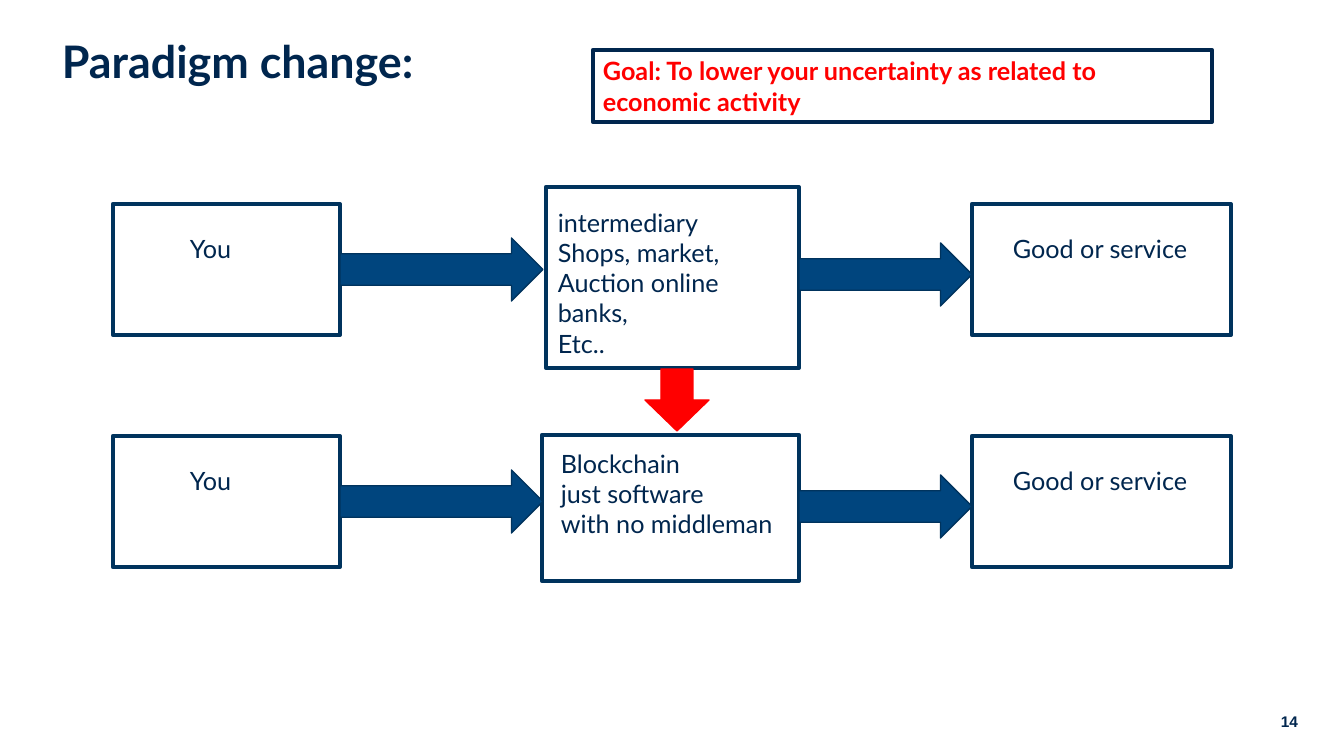
"""Build the paradigm change slide: a middleman flow above a blockchain flow."""
from pptx import Presentation
from pptx.dml.color import RGBColor
from pptx.enum.shapes import MSO_SHAPE
from pptx.enum.text import MSO_ANCHOR, MSO_AUTO_SIZE, PP_ALIGN
from pptx.util import Pt

SCALE = 914400 / 100.8
INK = RGBColor(0x00, 0x26, 0x4E)
EDGE = RGBColor(0x00, 0x33, 0x5D)
BLUE = RGBColor(0x00, 0x45, 0x7E)
RED = RGBColor(0xFF, 0x00, 0x00)

TITLE = "Paradigm change:"
GOAL = ["Goal: To lower your uncertainty as related to", "economic activity"]
PAGE_NUMBER = "14"
FLOWS = [
    {
        "top": 204,
        "middle_box": (546, 187, 253, 181),
        "middle_text": (548, 202, 199, 163),
        "middle_lines": ["intermediary", "Shops, market,", "Auction online", "banks,", "Etc.."],
        "wrap": False,
    },
    {
        "top": 436,
        "middle_box": (542, 435, 257, 146),
        "middle_text": (551, 443, 253, 132),
        "middle_lines": ["Blockchain", "just software", "with no middleman"],
        "wrap": True,
    },
]
ENDS = [
    {"text": "You", "left": 113, "width": 227, "text_left": 180, "text_width": 75},
    {"text": "Good or service", "left": 972, "width": 259, "text_left": 1003, "text_width": 212},
]
ARROWS = [(340, 34, 203), (799, 39, 173)]
END_HEIGHT, ARROW_HEIGHT, LABEL_DROP, LABEL_HEIGHT = 131, 63, 24, 40


def place(area):
    return [round(value * SCALE) for value in area]


def write(box, lines, size=18, color=INK, bold=False, font="Lato", align=PP_ALIGN.LEFT, wrap=True):
    frame = box.text_frame
    frame.text = "\n".join(lines)
    frame.word_wrap = wrap
    frame.auto_size = MSO_AUTO_SIZE.NONE if wrap else MSO_AUTO_SIZE.SHAPE_TO_FIT_TEXT
    for para in frame.paragraphs:
        para.alignment = align
        for span in para.runs:
            span.font.size = Pt(size)
            span.font.name = font
            span.font.bold = bold
            span.font.color.rgb = color


def add_text(area, lines, **style):
    box = page.shapes.add_textbox(*place(area))
    write(box, lines, **style)
    return box


def add_figure(kind, area, line, weight, fill=None):
    figure = page.shapes.add_shape(kind, *place(area))
    figure.shadow.inherit = False
    figure.line.color.rgb = line
    figure.line.width = Pt(weight)
    if fill is None:
        figure.fill.background()
    else:
        figure.fill.solid()
        figure.fill.fore_color.rgb = fill
    return figure


deck = Presentation()
deck.slide_width, deck.slide_height = place((1344, 756))
page = deck.slides.add_slide(deck.slide_layouts[6])

title = add_text((52, 35, 1159, 146), [TITLE], size=32, bold=True)
title.text_frame.paragraphs[0].line_spacing = 0.9

for flow in FLOWS:
    top = flow["top"]
    add_figure(MSO_SHAPE.RECTANGLE, flow["middle_box"], EDGE, 3)
    add_text(flow["middle_text"], flow["middle_lines"], wrap=flow["wrap"])
    for end in ENDS:
        add_figure(MSO_SHAPE.RECTANGLE, (end["left"], top, end["width"], END_HEIGHT), EDGE, 3)
        label_area = (end["text_left"], top + LABEL_DROP, end["text_width"], LABEL_HEIGHT)
        add_text(label_area, [end["text"]], wrap=False)
    for left, drop, width in ARROWS:
        add_figure(MSO_SHAPE.RIGHT_ARROW, (left, top + drop, width, ARROW_HEIGHT), EDGE, 1, BLUE)

add_figure(MSO_SHAPE.DOWN_ARROW, (645, 369, 64, 62), RED, 1, RED)

goal = add_figure(MSO_SHAPE.RECTANGLE, (593, 50, 619, 72), INK, 3)
write(goal, GOAL, color=RED, bold=True)
goal.text_frame.vertical_anchor = MSO_ANCHOR.MIDDLE

add_text((1269, 707, 39, 29), [PAGE_NUMBER], size=11, bold=True, font="Arial",
         align=PP_ALIGN.RIGHT, wrap=False)

deck.save("out.pptx")
